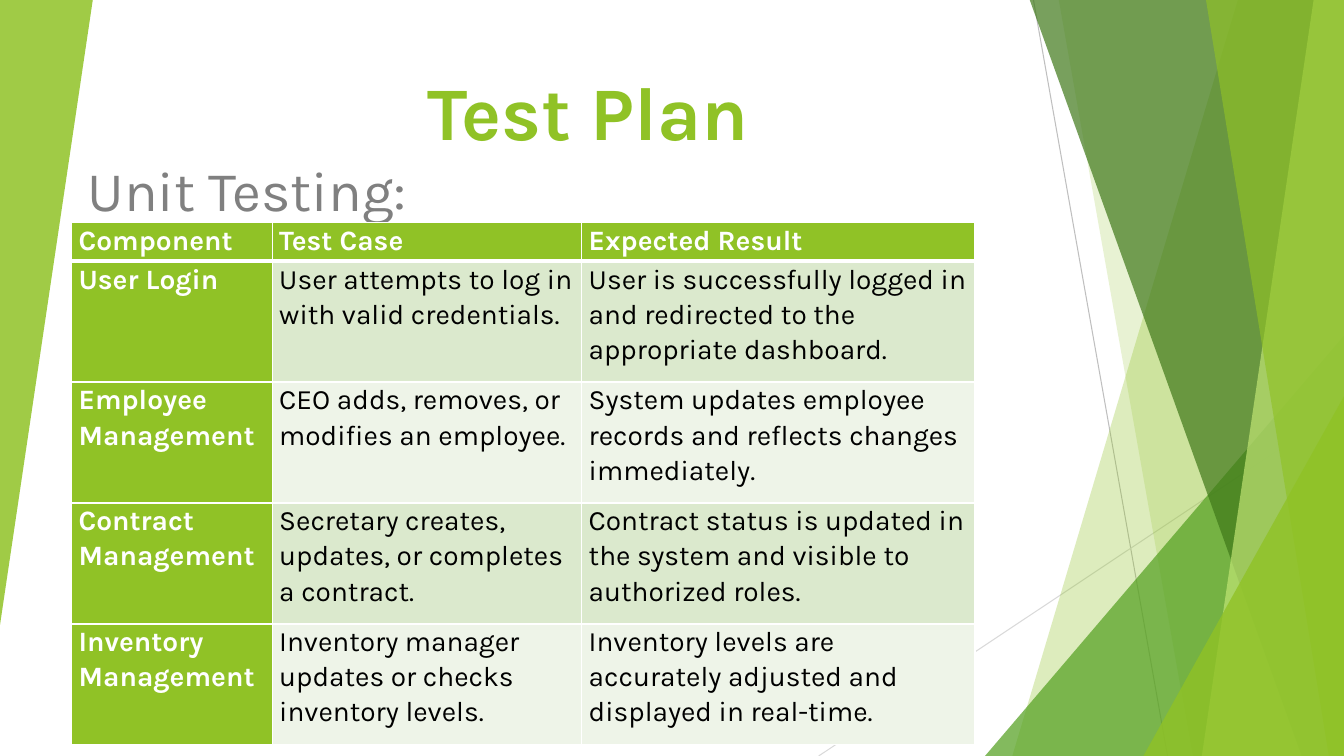
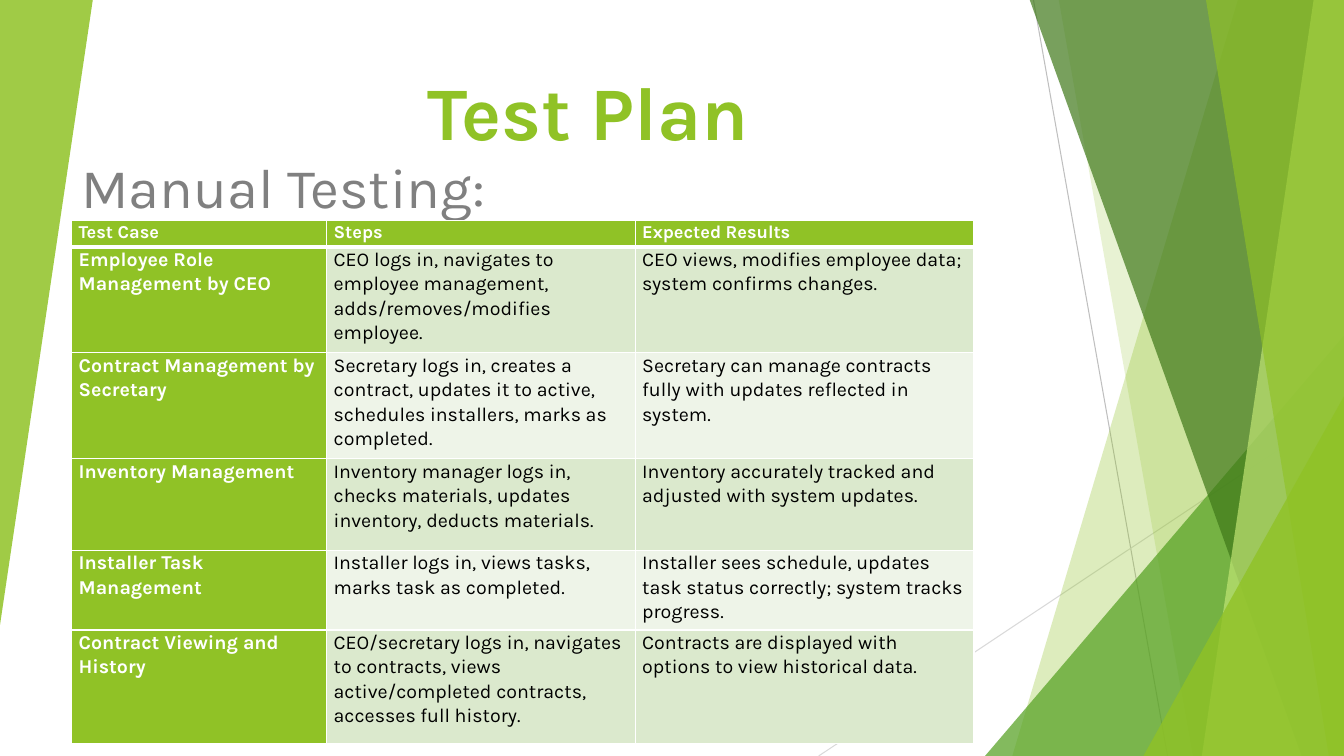
from pptx import Presentation
from pptx import util as u
from pptx.dml.color import RGBColor
from pptx.enum import shapes, text
from pptx.oxml.ns import qn
from lxml import etree

Inches, Pt = u.Inches, u.Pt

# Theme: colours, font and type sizes
theme = {
    "font": "Karla",
    "lime": "90C226", "green": "54A021", "dark": "3F7819", "pale": "C0E474",
    "grey": "808080", "white": "FFFFFF", "black": "000000",
    "rule": "BFBFBF", "faint": "D9D9D9",
    "bands": ["DBE9CD", "EEF4E8"],
    "title": 54, "sub": 40,
}
WIDE, HIGH = 13.33, 7.5

# Thin lines behind the facets: start, end, colour
lines = [
    ((10.25, 0), (11.58, HIGH), "rule"),
    ((WIDE, 4.03), (8.12, HIGH), "faint"),
]

# Facets, back to front: kind, geometry, colour, opacity in percent.
# A pane gives its top and bottom left x; a corner its left, top, width, height, turn.
facets = [
    ("pane", (12.28, 10.04), "lime", 30),
    ("pane", (10.5, 11.83), "lime", 20),
    ("corner", (9.77, 3.33, 3.56, 4.17, 0), "green", 72),
    ("pane", (10.21, 12.91), "dark", 70),
    ("pane", (13.03, 11.92), "pale", 70),
    ("pane", (11.96, 13.18), "lime", 65),
    ("corner", (11.34, 3.93, 1.99, 3.57, 0), "lime", 80),
    ("corner", (0, 0, 0.92, 6.2, 180), "lime", 85),
]

# Content of the slides
pages = [
    {
        "sub": "Unit Testing:", "box": (0.77, 1.49, 5.7, 0.78),
        "top": 2.21, "head": 20, "body": 20,
        "cols": [1.99, 3.07, 3.9],
        "rows": [0.38, 1.2, 1.2, 1.2, 1.2],
        "cells": [
            ["Component", "Test Case", "Expected Result"],
            ["User Login",
             "User attempts to log in with valid credentials.",
             "User is successfully logged in and redirected to the appropriate dashboard."],
            ["Employee Management",
             "CEO adds, removes, or modifies an employee.",
             "System updates employee records and reflects changes immediately."],
            ["Contract Management",
             "Secretary creates, updates, or completes a contract.",
             "Contract status is updated in the system and visible to authorized roles."],
            ["Inventory Management",
             "Inventory manager updates or checks inventory levels.",
             "Inventory levels are accurately adjusted and displayed in real-time."],
        ],
    },
    {
        "sub": "Manual Testing:", "box": (0.71, 1.46, 4.53, 0.82),
        "top": 2.19, "head": 13, "body": 14,
        "cols": [2.53, 3.06, 3.36],
        "rows": [0.26, 1.05, 1.05, 0.91, 0.79, 1.13],
        "cells": [
            ["Test Case", "Steps", "Expected Results"],
            ["Employee Role Management by CEO",
             "CEO logs in, navigates to employee management, adds/removes/modifies employee.",
             "CEO views, modifies employee data; system confirms changes."],
            ["Contract Management by Secretary",
             "Secretary logs in, creates a contract, updates it to active, "
             "schedules installers, marks as completed.",
             "Secretary can manage contracts fully with updates reflected in system."],
            ["Inventory Management",
             "Inventory manager logs in, checks materials, updates inventory, deducts materials.",
             "Inventory accurately tracked and adjusted with system updates."],
            ["Installer Task Management",
             "Installer logs in, views tasks, marks task as completed.",
             "Installer sees schedule, updates task status correctly; system tracks progress."],
            ["Contract Viewing and History",
             "CEO/secretary logs in, navigates to contracts, views "
             "active/completed contracts, accesses full history.",
             "Contracts are displayed with options to view historical data."],
        ],
    },
]


def paint(fill, tone, alpha=100):
    """Fill with a solid colour, see-through below 100 percent."""
    fill.solid()
    fill.fore_color.rgb = RGBColor.from_string(tone)
    if alpha < 100:
        tint = fill._xPr.find(qn("a:solidFill"))[0]
        etree.SubElement(tint, qn("a:alpha"), val=str(alpha * 1000))


def write(para, words, size, tone, bold=False):
    """Add one run of text in the theme font."""
    run = para.add_run()
    run.text = words
    run.font.name = theme["font"]
    run.font.size = Pt(size)
    run.font.bold = bold
    run.font.color.rgb = RGBColor.from_string(tone)


deck = Presentation()
deck.slide_width, deck.slide_height = Inches(WIDE), Inches(HIGH)

for page in pages:
    slide = deck.slides.add_slide(deck.slide_layouts[6])
    tree = slide.shapes

    # Thin lines
    for start, end, tone in lines:
        line = tree.add_connector(shapes.MSO_CONNECTOR.STRAIGHT,
                                  *map(Inches, start + end))
        line.line.width = Pt(0.75)
        line.line.color.rgb = RGBColor.from_string(theme[tone])
        etree.SubElement(line._element.spPr, qn("a:effectLst"))

    # Facets
    for kind, geo, tone, alpha in facets:
        if kind == "pane":
            top, base = geo
            pen = tree.build_freeform(Inches(top), Inches(-0.01))
            ends = [(WIDE, -0.01), (WIDE, HIGH), (base, HIGH)]
            pen.add_line_segments([(Inches(x), Inches(y)) for x, y in ends])
            facet = pen.convert_to_shape()
        else:
            facet = tree.add_shape(shapes.MSO_SHAPE.ISOSCELES_TRIANGLE,
                                   *map(Inches, geo[:4]))
            facet.adjustments[0] = 1
            facet.rotation = geo[4]
        paint(facet.fill, theme[tone], alpha)
        facet.line.fill.background()
        facet.shadow.inherit = False

    # Subtitle
    frame = tree.add_textbox(*map(Inches, page["box"])).text_frame
    frame.word_wrap = True
    para = frame.paragraphs[0]
    para.space_before = Pt(10)
    write(para, page["sub"], theme["sub"], theme["grey"])

    # Title
    frame = tree.add_textbox(0, 0, Inches(11.67), Inches(1.59)).text_frame
    frame.word_wrap = True
    frame.vertical_anchor = text.MSO_ANCHOR.BOTTOM
    para = frame.paragraphs[0]
    para.alignment = text.PP_ALIGN.CENTER
    write(para, "Test Plan", theme["title"], theme["lime"], True)

    # Table
    cols, rows = page["cols"], page["rows"]
    grid = tree.add_table(len(rows), len(cols), Inches(0.71), Inches(page["top"]),
                          Inches(sum(cols)), Inches(sum(rows))).table
    grid.first_col = True
    for col, width in zip(grid.columns, cols):
        col.width = Inches(width)
    for row, height in zip(grid.rows, rows):
        row.height = Inches(height)

    for r, words in enumerate(page["cells"]):
        for c, word in enumerate(words):
            cell = grid.cell(r, c)
            cell.margin_left = cell.margin_right = Inches(0.07)
            cell.margin_top = cell.margin_bottom = 0

            # White borders, thick around the foot of the header
            props = cell._tc.get_or_add_tcPr()
            for side in "LRTB":
                thick = (r, side) in [(0, "B"), (1, "T")]
                edge = etree.SubElement(props, qn("a:ln" + side),
                                        w=str(Pt(3 if thick else 1)))
                solid = etree.SubElement(edge, qn("a:solidFill"))
                etree.SubElement(solid, qn("a:srgbClr"), val=theme["white"])

            key = r == 0 or c == 0
            paint(cell.fill, theme["lime"] if key else theme["bands"][(r - 1) % 2])
            para = cell.text_frame.paragraphs[0]
            para.line_spacing = 1.07
            para.space_after = Pt(8)
            write(para, word, page["body"] if r else page["head"],
                  theme["white"] if key else theme["black"], key)

deck.save("out.pptx")
